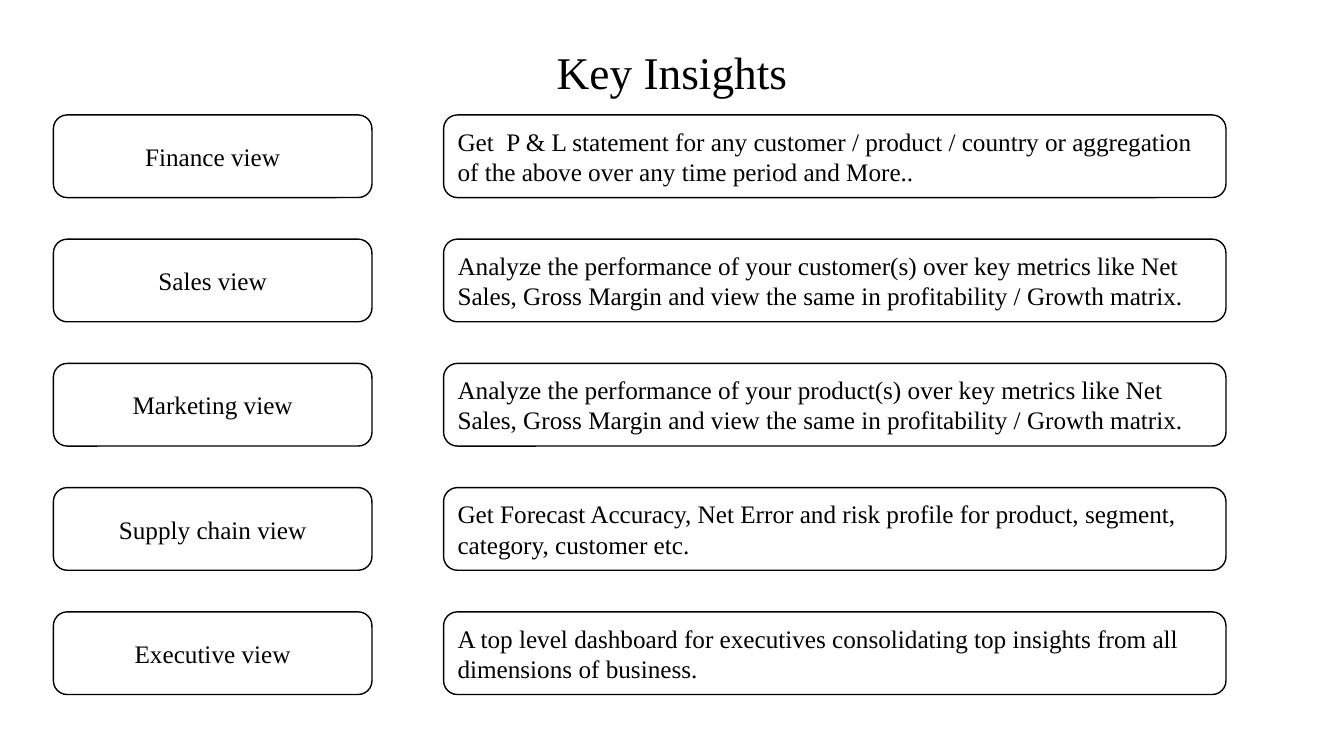
from pptx import Presentation
from pptx.dml.color import RGBColor
from pptx.enum.shapes import MSO_SHAPE
from pptx.enum.text import MSO_ANCHOR, PP_ALIGN
from pptx.util import Inches, Pt

ROUNDED = MSO_SHAPE.ROUNDED_RECTANGLE
MIDDLE, BOTTOM = MSO_ANCHOR.MIDDLE, MSO_ANCHOR.BOTTOM
LEFT, CENTER = PP_ALIGN.LEFT, PP_ALIGN.CENTER
FONT = "Times New Roman"
COLORS = {"ink": "000000", "paper": "FFFFFF"}

VIEWS = [
    ("Finance view",
     "Get  P & L statement for any customer / product / country or aggregation "
     "of the above over any time period and More.."),
    ("Sales view",
     "Analyze the performance of your customer(s) over key metrics like Net Sales, "
     "Gross Margin and view the same in profitability / Growth matrix."),
    ("Marketing view",
     "Analyze the performance of your product(s) over key metrics like Net Sales, "
     "Gross Margin and view the same in profitability / Growth matrix."),
    ("Supply chain view",
     "Get Forecast Accuracy, Net Error and risk profile for product, segment, "
     "category, customer etc."),
    ("Executive view",
     "A top level dashboard for executives consolidating top insights from all "
     "dimensions of business."),
]


def color(name):
    """Return the palette colour with the given name."""
    return RGBColor.from_string(COLORS[name])


def write_text(shape, text, size, alignment, anchor):
    """Put one formatted paragraph into a shape and return it."""
    frame = shape.text_frame
    frame.text = text
    frame.word_wrap = True
    frame.vertical_anchor = anchor
    paragraph = frame.paragraphs[0]
    paragraph.alignment = alignment
    font = paragraph.runs[0].font
    font.name = FONT
    font.size = Pt(size)
    font.color.rgb = color("ink")
    return paragraph


def add_title(slide, left, top, width, height):
    """Add the slide heading at the bottom of the given box."""
    title = slide.shapes.add_textbox(
        Inches(left), Inches(top), Inches(width), Inches(height))
    paragraph = write_text(title, "Key Insights", 32.4, CENTER, BOTTOM)
    paragraph.line_spacing = 0.9


def add_card(slide, left, top, width, height, text, alignment):
    """Add an outlined rounded card holding text."""
    card = slide.shapes.add_shape(
        ROUNDED, Inches(left), Inches(top), Inches(width), Inches(height))
    card.shadow.inherit = False
    card.fill.solid()
    card.fill.fore_color.rgb = color("paper")
    card.line.color.rgb = color("ink")
    card.line.width = Pt(1)
    write_text(card, text, 18, alignment, MIDDLE)


def add_views(slide, left, top, width, height):
    """Fill the box with one row per view: name card and description card."""
    card_height, name_width, gap = 0.82, 3.16, 0.71
    pitch = (height - card_height) / (len(VIEWS) - 1)
    description_left = left + name_width + gap
    description_width = width - name_width - gap
    for row, (name, description) in enumerate(VIEWS):
        row_top = top + row * pitch
        add_card(slide, left, row_top, name_width, card_height, name, CENTER)
        add_card(slide, description_left, row_top, description_width,
                 card_height, description, LEFT)


def main():
    """Build and save the presentation."""
    presentation = Presentation()
    presentation.slide_width = Inches(13.33)
    presentation.slide_height = Inches(7.5)
    slide = presentation.slides.add_slide(presentation.slide_layouts[6])
    slide.background.fill.solid()
    slide.background.fill.fore_color.rgb = color("paper")
    add_views(slide, 0.53, 1.14, 11.63, 5.75)
    add_title(slide, 0.92, 0.28, 11.49, 0.75)
    presentation.save("out.pptx")


if __name__ == "__main__":
    main()
